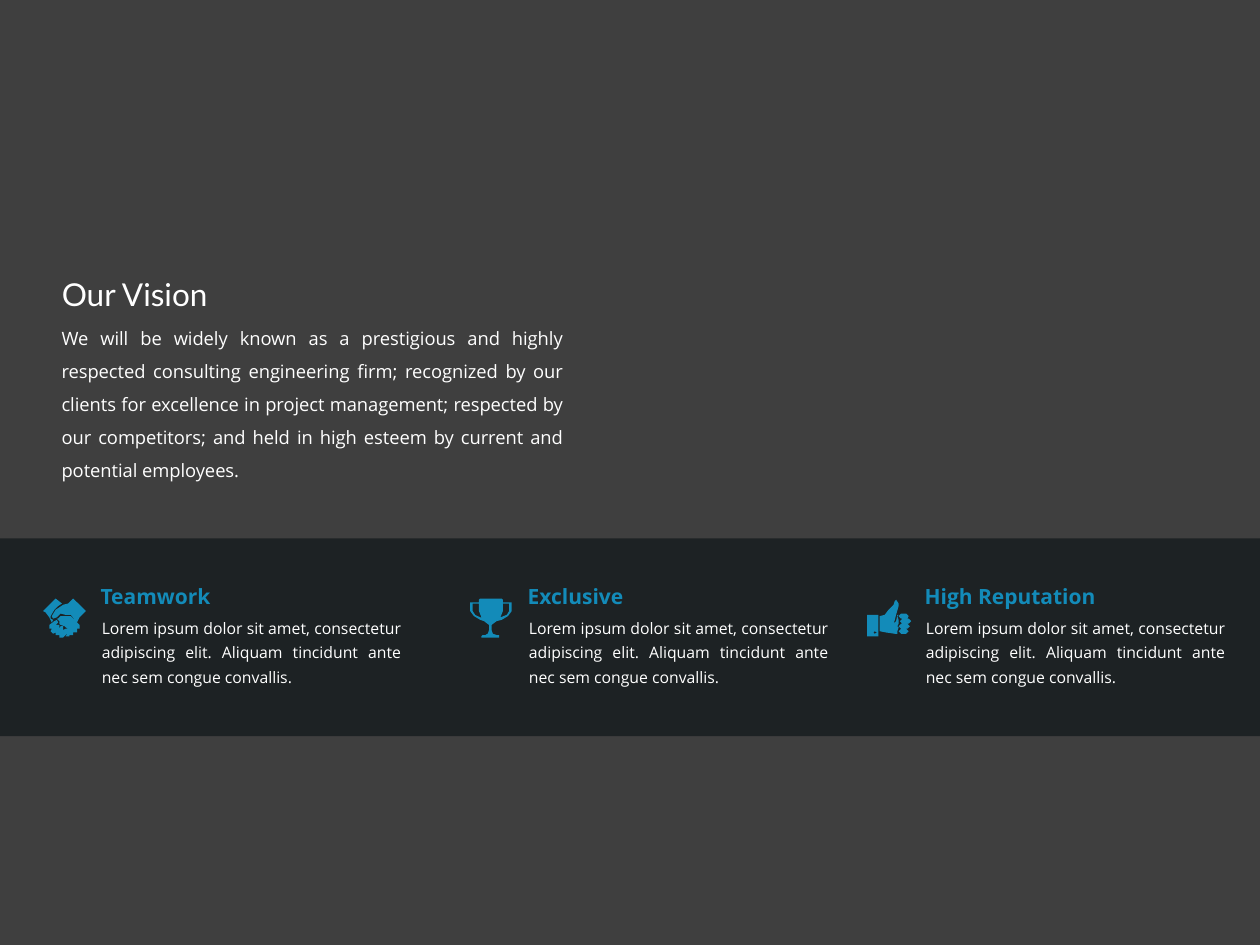
import pptx
import pptx.util
import pptx.oxml
import pptx.oxml.ns
from pptx.dml.color import RGBColor
from pptx.enum.shapes import MSO_SHAPE
from pptx.enum.text import MSO_ANCHOR, PP_ALIGN

Pt = pptx.util.Pt

# Content
COLORS = {"background": "3F3F3F", "band": "181E20", "accent": "138BB9", "text": "FFFFFF"}
TITLE = "Our Vision"
VISION = ("We will be widely known as a prestigious and highly respected consulting "
          "engineering firm; recognized by our clients for excellence in project management; "
          "respected by our competitors; and held in high esteem by current and potential "
          "employees.")
VALUE_TEXT = ("Lorem ipsum dolor sit amet, consectetur adipiscing elit. "
              "Aliquam tincidunt ante nec sem congue convallis.")

# Icon outlines: closed contours on a grid of ICON_UNIT points
ICON_UNIT = 0.72
HANDSHAKE = [
    [(5, 15), (2, 11), (0, 10), (10, 0), (15, 4), (12, 6), (9, 9), (6, 14), (6, 16),
     (8, 17), (7, 19), (6, 17)],
    [(22, 14), (14, 14), (12, 16), (11, 16), (13, 18), (13, 20), (14, 21), (17, 22), (18, 23),
     (20, 24), (20.5, 27), (18, 30), (21, 30), (21, 29), (24, 29), (24, 27), (27, 27),
     (27, 24), (29, 24), (29, 21)],
    [(20, 24), (18, 24), (16, 25), (16, 22), (14.5, 22), (13, 24), (13, 21), (10.5, 21),
     (11.5, 19), (11, 17), (9, 18), (5, 21), (5, 24), (7, 24), (6.5, 26), (7.5, 27.5),
     (9.5, 27), (10, 29), (13, 29), (13, 31), (16, 31), (20, 27)],
    [(24, 0), (20, 4), (16, 5), (10, 9), (7, 14), (8, 15.5), (11, 15), (14, 12), (18, 13),
     (22, 13), (27, 19), (29, 15), (30, 14), (34, 10)],
]
TROPHY = [
    [(26, 3), (26, 1), (25, 0), (8, 0), (7, 1), (7, 3), (0, 3), (0, 10), (3, 14), (8, 17),
     (11, 18), (15, 21), (15, 25), (14, 28), (12, 29), (10, 29), (9, 30), (9, 31), (23, 31),
     (23, 29), (21, 29), (18.5, 28), (17, 25), (17, 21), (21, 18), (25, 17), (30, 14),
     (33, 10), (33, 3)],
    [(8, 15), (4, 13), (2, 10), (2, 4), (7, 4), (7, 10), (9, 15)],
    [(31, 10), (29, 13), (24, 15), (26, 10), (26, 4), (31, 4)],
]
THUMB = [
    [(24, 26), (24, 28), (22, 28), (15, 27), (10, 26), (10, 14), (14, 13), (17, 9), (21, 5),
     (22, 2), (23, 1), (25, 4), (25, 6), (23, 13), (22, 17), (21, 20), (23, 18), (24, 13),
     (25, 13), (24, 14), (25, 17), (25, 20), (24, 22), (25, 23)],
    [(35, 18), (33, 16), (32, 16), (33, 14), (31, 12), (27, 12), (25, 14), (27, 16), (28, 16),
     (26, 18), (28, 20), (27, 20), (25, 22), (27, 24), (25, 26), (27, 28), (31, 28), (33, 26),
     (31, 24), (32, 24), (34, 22), (32, 20), (33, 20)],
    [(0, 13), (9, 13), (9, 30), (0, 30)],
    [(5, 27), (6, 28), (8, 27), (6, 26)],
]

# Heading, heading left edge, icon
VALUES = [
    ("Teamwork", 50.4, HANDSHAKE),
    ("Exclusive", 294.5, TROPHY),
    ("High Reputation", 521.3, THUMB),
]
ICON_OFFSET, ICON_TOP = -25.8, 342


def place_text(text, left, top, width, height, shape=None, size=9, font="Open Sans",
               color="text", bold=False, align=PP_ALIGN.LEFT, spacing=1.0,
               anchor=MSO_ANCHOR.TOP, inset=3.6):
    if shape is None:
        shape = slide.shapes.add_textbox(0, 0, 0, 0)
    shape.left, shape.top, shape.width, shape.height = map(Pt, (left, top, width, height))
    frame = shape.text_frame
    frame.word_wrap = True
    frame.auto_size = pptx.enum.text.MSO_AUTO_SIZE.NONE
    frame.vertical_anchor = anchor
    frame.margin_left = frame.margin_right = Pt(7.2)
    frame.margin_top = frame.margin_bottom = Pt(inset)
    paragraph = frame.paragraphs[0]
    paragraph.alignment = align
    paragraph.line_spacing = spacing
    run = paragraph.add_run()
    run.text = text
    run.font.name, run.font.size, run.font.bold = font, Pt(size), bold
    run.font.color.rgb = RGBColor.from_string(COLORS[color])


def paint(shape, color):
    shape.shadow.inherit = False
    shape.fill.solid()
    shape.fill.fore_color.rgb = RGBColor.from_string(COLORS[color])
    shape.line.fill.background()


def draw_icon(contours, left, top):
    builder = slide.shapes.build_freeform(*contours[0][0], scale=Pt(ICON_UNIT))
    for number, contour in enumerate(contours):
        if number:
            builder.move_to(*contour[0])
        builder.add_line_segments(contour[1:], close=True)
    paint(builder.convert_to_shape(Pt(left), Pt(top)), "accent")


# Slide and background
presentation = pptx.Presentation()
presentation.slide_width, presentation.slide_height = Pt(720), Pt(540)
slide = presentation.slides.add_slide(presentation.slide_layouts[5])
slide.background.fill.solid()
slide.background.fill.fore_color.rgb = RGBColor.from_string(COLORS["background"])

# Vision statement
place_text(TITLE, 28.1, 153.4, 234, 28.8, shape=slide.shapes.title, size=18, font="Lato")
place_text(VISION, 28.1, 177.1, 301, 90, size=10.5, align=PP_ALIGN.JUSTIFY, spacing=1.5)

# Translucent band
band = slide.shapes.add_shape(MSO_SHAPE.RECTANGLE, 0, Pt(307.7), Pt(720), Pt(113))
paint(band, "band")
band_color = band.fill._xPr.find(".//" + pptx.oxml.ns.qn("a:srgbClr"))
alpha = pptx.oxml.parse_xml(f'<a:alpha {pptx.oxml.ns.nsdecls("a")} val="85000"/>')
band_color.append(alpha)

# Values
for heading, left, icon in VALUES:
    place_text(heading, left, 333.7, 144, 14.4, size=12, color="accent", bold=True,
               anchor=MSO_ANCHOR.MIDDLE, inset=0)
    place_text(VALUE_TEXT, left + 0.7, 346.3, 185, 49.7, align=PP_ALIGN.JUSTIFY, spacing=1.3,
               anchor=MSO_ANCHOR.MIDDLE)
    draw_icon(icon, left + ICON_OFFSET, ICON_TOP)

presentation.save("out.pptx")
